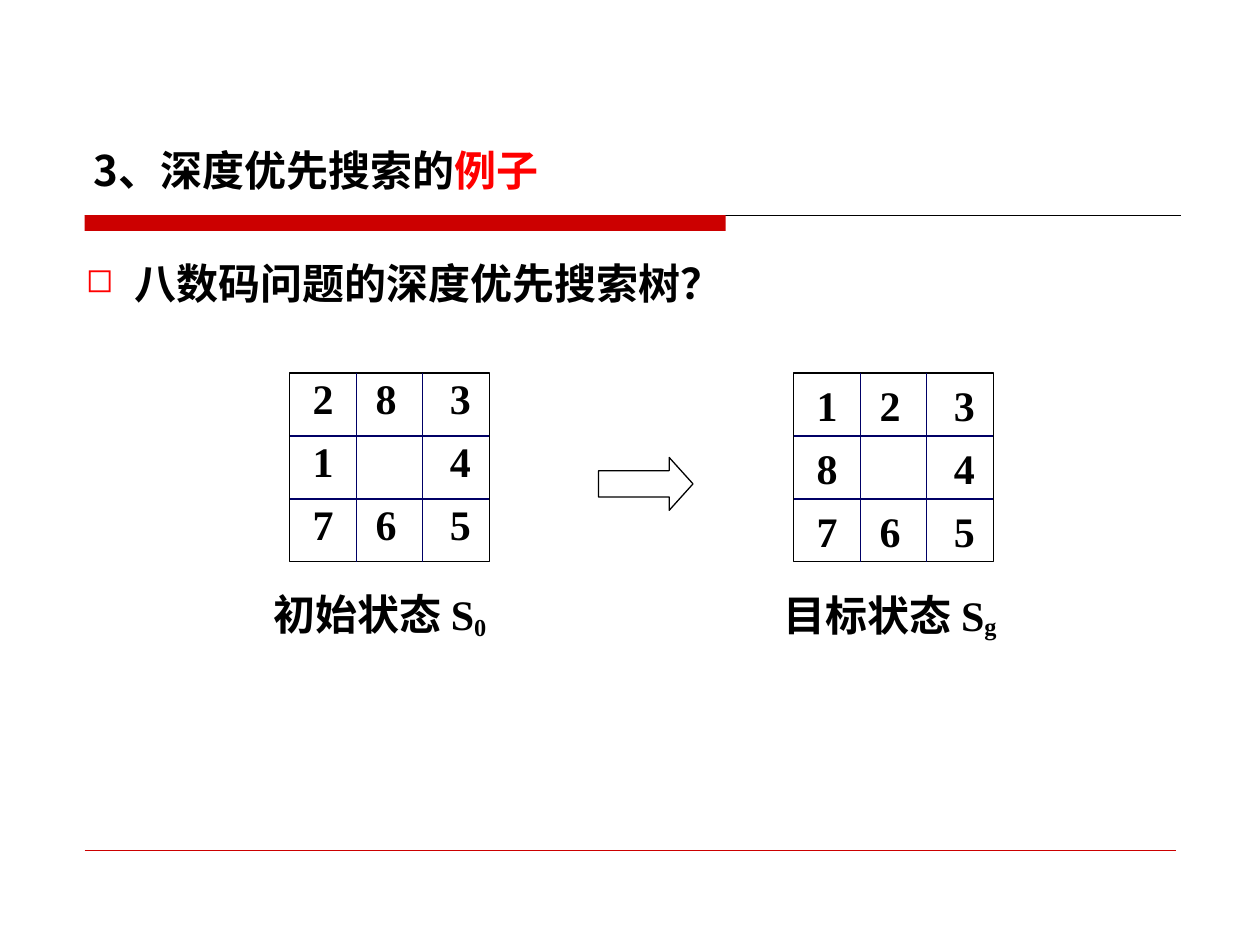
from pptx import Presentation
from pptx.dml.color import RGBColor
from pptx.enum.shapes import MSO_CONNECTOR, MSO_SHAPE
from pptx.enum.text import MSO_ANCHOR, PP_ALIGN
from pptx.oxml.ns import qn
from pptx.util import Pt
from lxml import etree

RECTANGLE, RIGHT_ARROW = MSO_SHAPE.RECTANGLE, MSO_SHAPE.RIGHT_ARROW
STRAIGHT = MSO_CONNECTOR.STRAIGHT
MIDDLE = MSO_ANCHOR.MIDDLE
LEFT, CENTER = PP_ALIGN.LEFT, PP_ALIGN.CENTER

CJK_FONT, DIGIT_FONT = "Noto Sans CJK SC", "Times New Roman"
BLACK, RED, DARK_RED, NAVY = "000000", "FF0000", "CC0000", "000066"

prs = Presentation()
prs.slide_width, prs.slide_height = Pt(720), Pt(540)
slide = prs.slides.add_slide(prs.slide_layouts[6])
shapes = slide.shapes


def add_line(x1, y1, x2, y2, color, width=0.75):
    line = shapes.add_connector(STRAIGHT, Pt(x1), Pt(y1), Pt(x2), Pt(y2))
    line.line.color.rgb = RGBColor.from_string(color)
    line.line.width = Pt(width)
    etree.SubElement(line._element.spPr, qn("a:effectLst"))


def add_text(x, y, width, height, parts, font=DIGIT_FONT, align=LEFT):
    """Add one bold line from (text, colour) parts and return its paragraph."""
    frame = shapes.add_textbox(Pt(x), Pt(y), Pt(width), Pt(height)).text_frame
    frame.margin_left = frame.margin_right = 0
    frame.margin_top = frame.margin_bottom = 0
    frame.word_wrap = True
    frame.vertical_anchor = MIDDLE
    paragraph = frame.paragraphs[0]
    paragraph.alignment = align
    for text, color in parts:
        run = paragraph.add_run()
        run.text = text
        run.font.size = Pt(24)
        run.font.bold = True
        run.font.name = font
        run.font.color.rgb = RGBColor.from_string(color)
        east_asian = etree.SubElement(run.font._element, qn("a:ea"))
        east_asian.set("typeface", CJK_FONT)
    return paragraph


# Header and footer rules
add_line(48.4, 123.2, 675, 123.2, BLACK)
header_bar = shapes.add_shape(RECTANGLE, Pt(48.4), Pt(123), Pt(366.3), Pt(9))
header_bar.shadow.inherit = False
header_bar.fill.solid()
header_bar.fill.fore_color.rgb = RGBColor.from_string(DARK_RED)
header_bar.line.fill.background()
add_line(48.4, 486, 672, 486, DARK_RED, 0.25)

# Title and question
add_text(53.3, 82.8, 270, 28.8,
         [("3、深度优先搜索的", BLACK), ("例子", RED)], CJK_FONT)
question = add_text(49, 146.9, 378, 28.8,
                    [("八数码问题的深度优先搜索树？", BLACK)], CJK_FONT)
properties = question._p.get_or_add_pPr()
properties.set("marL", str(Pt(28)))
properties.set("indent", str(Pt(-28)))
bullet_color = etree.SubElement(properties, qn("a:buClr"))
etree.SubElement(bullet_color, qn("a:srgbClr")).set("val", RED)
etree.SubElement(properties, qn("a:buSzPct")).set("val", "80000")
etree.SubElement(properties, qn("a:buChar")).set("char", "◻")

# Puzzle boards
BOARD_TOP, BOARD_WIDTH, BOARD_HEIGHT = 213.1, 114, 108
COLUMN, ROW = BOARD_WIDTH / 3, BOARD_HEIGHT / 3
DIGIT_OFFSETS = (5.8, 41.8, 84.2)
boards = [
    # left, rows, digit height, caption left, caption, subscript, baseline
    (165.6, ("283", "1 4", "765"), 28.8, 156.2, "初始状态 S", "0", -12000),
    (453.6, ("123", "8 4", "765"), 36, 447.8, "目标状态 S", "g", -8000),
]
for left, rows, digit_height, caption_left, caption, subscript, baseline in boards:
    frame = shapes.add_shape(RECTANGLE, Pt(left), Pt(BOARD_TOP),
                             Pt(BOARD_WIDTH), Pt(BOARD_HEIGHT))
    frame.shadow.inherit = False
    frame.fill.background()
    frame.line.color.rgb = RGBColor.from_string(BLACK)
    frame.line.width = Pt(0.75)
    for i in (1, 2):
        y, x = BOARD_TOP + i * ROW, left + i * COLUMN
        add_line(left, y, left + BOARD_WIDTH, y, NAVY)
        add_line(x, BOARD_TOP, x, BOARD_TOP + BOARD_HEIGHT, NAVY)
    for i, row in enumerate(rows):
        for digit, offset in zip(row, DIGIT_OFFSETS):
            if digit != " ":
                add_text(left + offset, BOARD_TOP + i * ROW, 26.6, digit_height,
                         [(digit, BLACK)], align=CENTER)
    label = add_text(caption_left, 337, 134.6, 28.8,
                     [(caption, BLACK), (subscript, BLACK)])
    label.runs[1].font._element.set("baseline", str(baseline))

# Arrow from the initial state to the goal
arrow = shapes.add_shape(RIGHT_ARROW, Pt(342), Pt(261.4), Pt(54), Pt(30.2))
arrow.adjustments[0], arrow.adjustments[1] = 0.5, 0.45
arrow.shadow.inherit = False
arrow.fill.background()
arrow.line.color.rgb = RGBColor.from_string(BLACK)
arrow.line.width = Pt(0.75)

prs.save("out.pptx")
